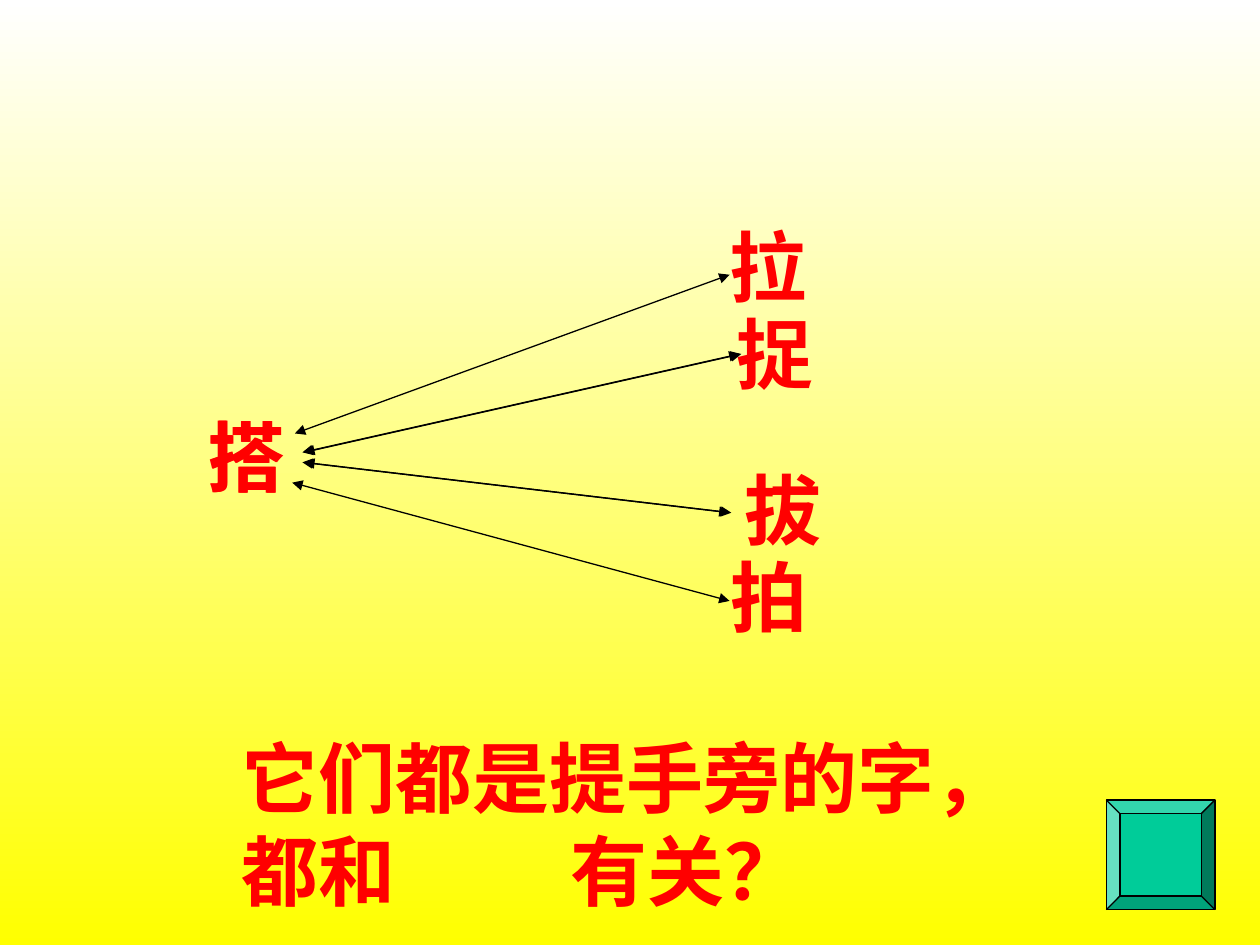
from lxml.etree import SubElement as Sub
from pptx import Presentation
from pptx.dml.color import RGBColor as RGB
from pptx.enum.shapes import MSO_CONNECTOR as Conn, MSO_SHAPE as Shape
from pptx.enum.text import MSO_AUTO_SIZE as Auto
from pptx.oxml.ns import qn
from pptx.util import Pt

RED = RGB(0xFF, 0, 0)
GREEN = RGB(0, 0xCC, 0x99)
BLACK = RGB(0, 0, 0)
WHITE = RGB(0xFF, 0xFF, 0xFF)
YELLOW = RGB(0xFF, 0xFF, 0)


def add_back(slide):
    fill = slide.background.fill
    fill.gradient()
    fill.gradient_angle = 270
    for stop, color, pos in zip(fill.gradient_stops, (WHITE, YELLOW), (0, 1)):
        stop.color.rgb = color
        stop.position = pos


def add_text(slide, text, x, y, w=104.4, h=60.5, size=44, color=RED,
             bold=True, font="Arial", tab=None):
    box = slide.shapes.add_textbox(Pt(x), Pt(y), Pt(w), Pt(h))
    frame = box.text_frame
    frame.word_wrap = True
    frame.auto_size = Auto.SHAPE_TO_FIT_TEXT
    para = frame.paragraphs[0]
    if tab:
        tabs = Sub(para._p.get_or_add_pPr(), qn("a:tabLst"))
        Sub(tabs, qn("a:tab"), pos=str(Pt(tab)), algn="l")
    run = para.add_run()
    run.text = text
    run.font.size = Pt(size)
    run.font.name = font
    run.font.bold = bold
    run.font.color.rgb = color


def add_arrow(slide, x1, y1, x2, y2):
    link = slide.shapes.add_connector(
        Conn.STRAIGHT, Pt(x1), Pt(y1), Pt(x2), Pt(y2))
    link.line.color.rgb = BLACK
    link.line.width = Pt(0.75)
    line = link.line._get_or_add_ln()
    for end in ("a:headEnd", "a:tailEnd"):
        Sub(line, qn(end), type="triangle")
    Sub(link._element.spPr, qn("a:effectLst"))


def add_bevel(slide, x, y, w, h):
    key = slide.shapes.add_shape(Shape.BEVEL, Pt(x), Pt(y), Pt(w), Pt(h))
    key.shadow.inherit = False
    key.adjustments[0] = 0.125
    key.fill.solid()
    key.fill.fore_color.rgb = GREEN
    key.line.color.rgb = BLACK
    key.line.width = Pt(0.75)


def main():
    deck = Presentation()
    deck.slide_width, deck.slide_height = Pt(720), Pt(540)
    slide = deck.slides.add_slide(deck.slide_layouts[6])
    add_back(slide)

    # Characters; the left one is doubled for weight
    for char, x, y in (("搭", 111.6, 230.4), ("搭", 112.3, 230.4),
                       ("拉", 409.7, 121.7), ("捉", 414, 171.4),
                       ("拔", 418.3, 260.6), ("拍", 410.4, 310.3)):
        add_text(slide, char, x, y)

    # Outer arrows, then the doubled inner pair
    add_arrow(slide, 168.5, 247.7, 416.9, 157)
    add_arrow(slide, 167, 275.8, 416.9, 343.4)
    for shift in (0, 1):
        add_arrow(slide, 172.8 + shift, 258.5, 422.6 + shift, 202.3)
        add_arrow(slide, 172.8 + shift, 264.2, 416.9 + shift, 293)

    # Question with a gap to fill in
    add_text(slide, "它们都是提手旁的字，都和\t有关？", 131, 414,
             w=466.6, h=113, tab=188)

    # Corner button
    add_bevel(slide, 632.2, 457.2, 62, 62.6)
    deck.save("out.pptx")


if __name__ == "__main__":
    main()
